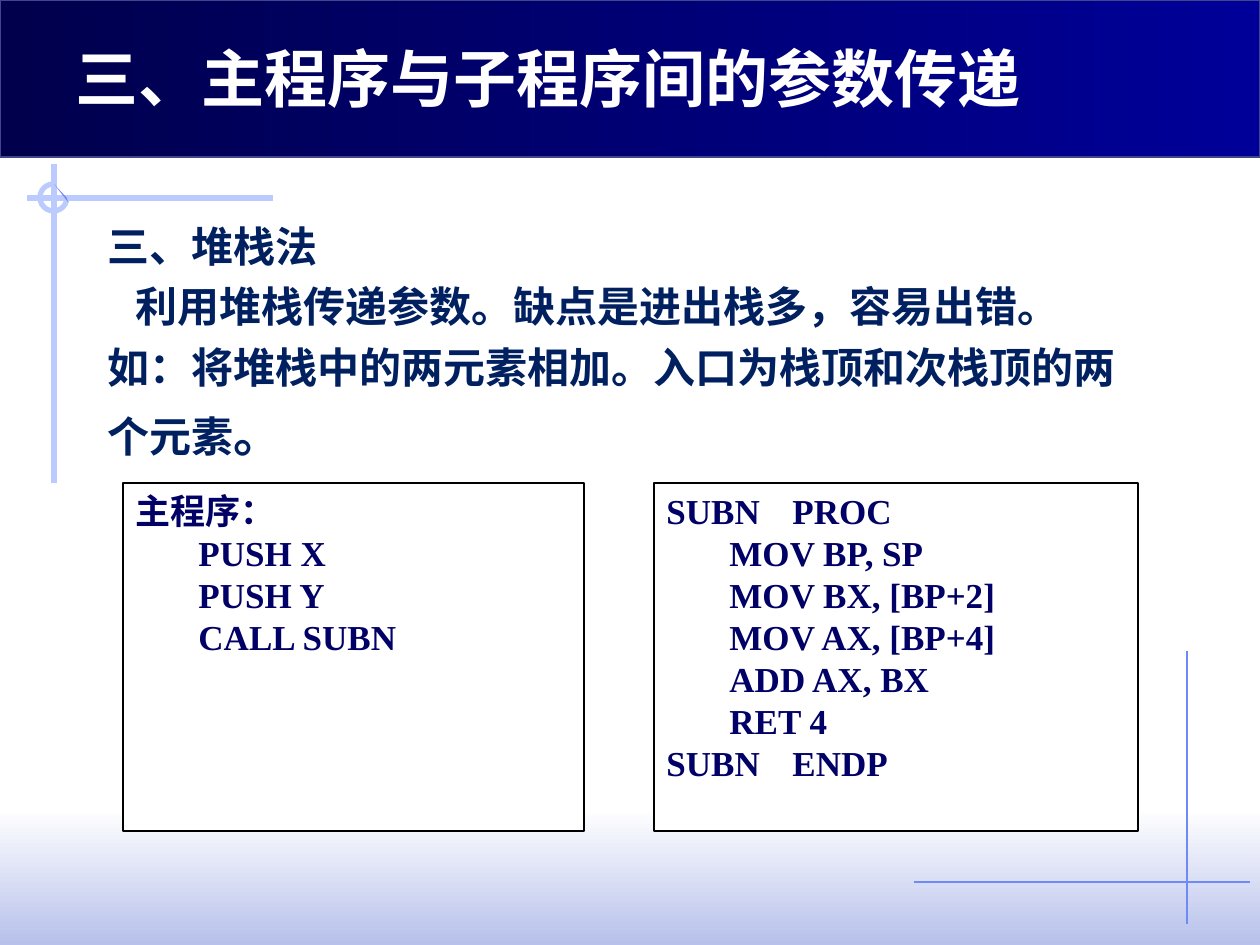
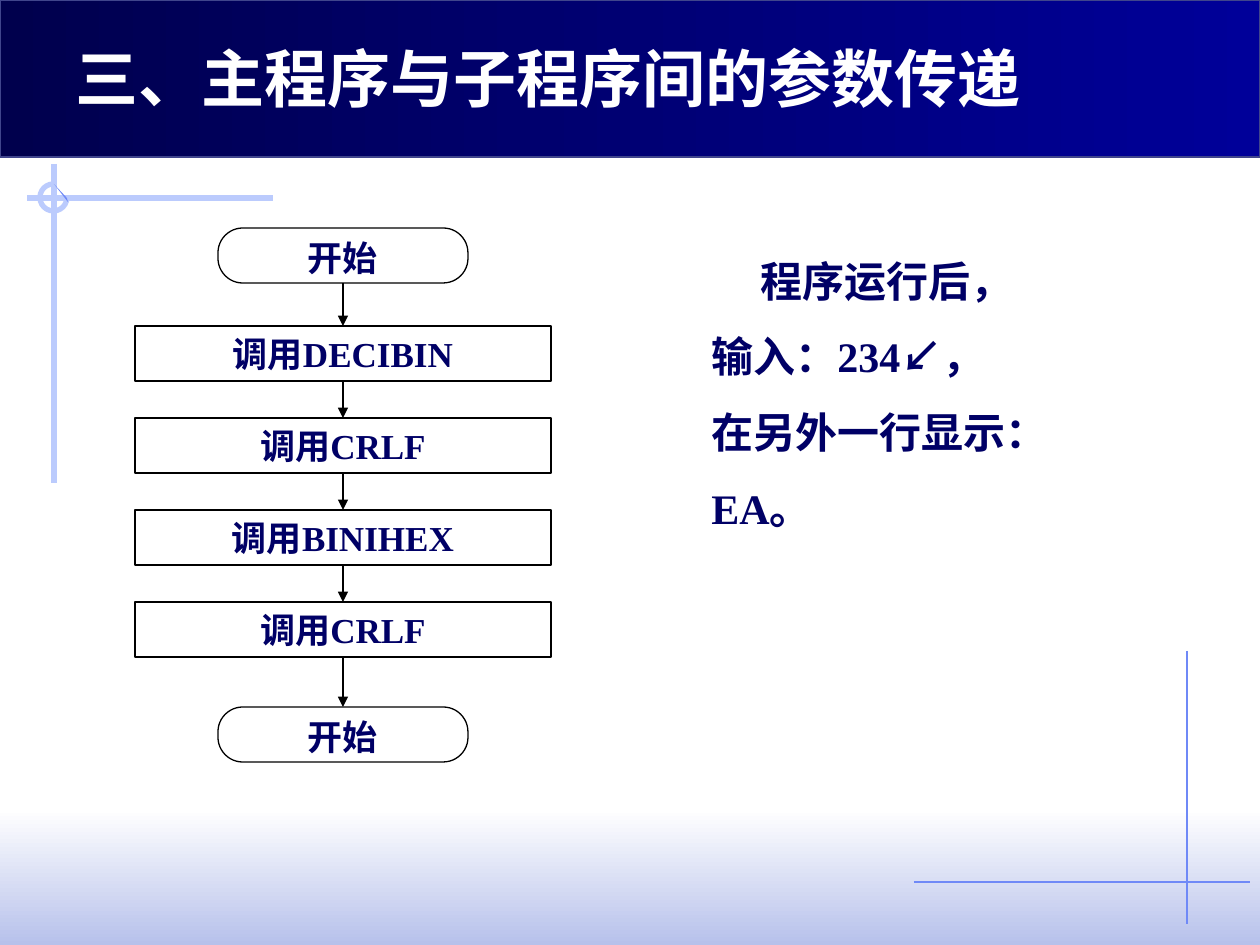
from lxml import etree
from pptx import Presentation
from pptx.dml.color import RGBColor
from pptx.enum.shapes import MSO_CONNECTOR, MSO_SHAPE
from pptx.enum.text import MSO_ANCHOR, PP_ALIGN
from pptx.oxml.ns import qn
from pptx.util import Emu, Pt

RECTANGLE, ROUNDED, ARC = MSO_SHAPE.RECTANGLE, MSO_SHAPE.ROUNDED_RECTANGLE, MSO_SHAPE.ARC
STRAIGHT = MSO_CONNECTOR.STRAIGHT
LEFT, CENTER, TOP = PP_ALIGN.LEFT, PP_ALIGN.CENTER, MSO_ANCHOR.TOP

PX = 914400 / 126
WHITE, BLACK, NAVY, INK = "FFFFFF", "000000", "000066", "002060"
PALE_BLUE, MID_BLUE, BANNER_EDGE = "BBCBFD", "6F89F7", "40458C"
BANNER_GRADIENT = ("00004D", "000099", 0)
FOOTER_GRADIENT = (WHITE, "B7C1EB", 270)
SANS, TITLE_SANS, SERIF = "Noto Sans CJK SC", "Noto Sans CJK JP", "Times New Roman"

TITLE = "三、主程序与子程序间的参数传递"
TITLE_STYLE = {"font": TITLE_SANS, "size": 36, "color": WHITE}
STACK_STYLE = {"font": SANS, "size": 24, "color": INK}
CODE_STYLE = {"font": SERIF, "size": 20, "color": NAVY}
RESULT_STYLE = {"font": SANS, "size": 24, "color": NAVY}

# (x1, y1, x2, y2, colour, width in points)
GUIDE_LINES = [
    (1187, 651, 1187, 924, MID_BLUE, 0.75),
    (914, 882, 1250, 882, MID_BLUE, 0.75),
    (273, 198, 27, 198, PALE_BLUE, 3),
    (54, 164, 54, 483, PALE_BLUE, 3),
]
RING = (40, 184, 27, 27)
RING_WEDGE = [(54, 184), (67, 198), (68, 202)]

# (first-line indent, runs); a run is (text, changes to the style)
STACK_NOTES = [
    (0, [("三、堆栈法", {})]),
    (28, [("利用堆栈传递参数。缺点是进出栈多，容易出错。", {})]),
    (0, [("如：将堆栈中的两元素相加。入口为栈顶和次栈顶的两个元素", {}),
         ("。", {"size": 28})]),
]
CODE_BOXES = [
    ((123, 483, 461, 348),
     ["主程序：", "\tPUSH X", "\tPUSH Y", "\tCALL SUBN"]),
    ((654, 483, 484, 348),
     ["SUBN\tPROC", "\tMOV BP, SP", "\tMOV BX, [BP+2]", "\tMOV AX, [BP+4]",
      "\tADD AX, BX", "\tRET 4", "SUBN\tENDP"]),
]

# (shape, label, gap to the next step)
FLOW_STEPS = [
    (ROUNDED, "开始", 43),
    (RECTANGLE, "调用DECIBIN", 37),
    (RECTANGLE, "调用CRLF", 37),
    (RECTANGLE, "调用BINIHEX", 37),
    (RECTANGLE, "调用CRLF", 50),
    (ROUNDED, "开始", 0),
]
FLOW_CENTER, FLOW_TOP, STEP_HEIGHT = 343, 228, 55
STEP_WIDTHS = {RECTANGLE: 416, ROUNDED: 250}
RESULT_NOTES = [
    (49, [("程序运行后，输入：", {}), ("234", {"font": SERIF}),
          ("↙，在另外一行显示：", {}), ("EA", {"font": SERIF}), ("。", {})]),
]


def px(*lengths):
    return [Emu(round(length * PX)) for length in lengths]


def rgb(color):
    return RGBColor.from_string(color)


def plain(text):
    return 0, [(text, {})]


def write(frame, paragraphs, style, align=LEFT, spacing=1.0):
    """Fill a text frame with (indent, runs) paragraphs."""
    frame.vertical_anchor = TOP
    for index, (indent, runs) in enumerate(paragraphs):
        paragraph = frame.add_paragraph() if index else frame.paragraphs[0]
        paragraph.alignment, paragraph.line_spacing = align, spacing
        if indent:
            properties = paragraph._p.get_or_add_pPr()
            properties.set("marL", "0")
            properties.set("indent", str(px(indent)[0]))
        for text, changes in runs:
            look = {**style, **changes}
            run = paragraph.add_run()
            run.text = text
            values = {"name": look["font"], "size": Pt(look["size"]), "bold": True}
            for name, value in values.items():
                setattr(run.font, name, value)
            run.font.color.rgb = rgb(look["color"])
            east_asian = SANS if look["font"] == SERIF else look["font"]
            etree.SubElement(run._r.get_or_add_rPr(), qn("a:ea"), typeface=east_asian)


def add_text(slide, box, paragraphs, style, wrap=True, spacing=1.0):
    frame = slide.shapes.add_textbox(*px(*box)).text_frame
    frame.word_wrap = wrap
    write(frame, paragraphs, style, spacing=spacing)


def paint(shape, fill=None, line=None, width=0.75):
    """Fill with a hex colour or a (start, end, angle) gradient, and outline."""
    shape.shadow.inherit = False
    if isinstance(fill, tuple):
        *colors, angle = fill
        shape.fill.gradient()
        shape.fill.gradient_angle = angle
        for stop, color in zip(shape.fill.gradient_stops, colors):
            stop.color.rgb = rgb(color)
    elif fill:
        shape.fill.solid()
        shape.fill.fore_color.rgb = rgb(fill)
    else:
        shape.fill.background()
    if line:
        shape.line.color.rgb = rgb(line)
        shape.line.width = Pt(width)
    else:
        shape.line.fill.background()


def add_shape(slide, kind, box, **look):
    shape = slide.shapes.add_shape(kind, *px(*box))
    paint(shape, **look)
    return shape


def add_line(slide, x1, y1, x2, y2, color, width, arrow=False):
    connector = slide.shapes.add_connector(STRAIGHT, *px(x1, y1, x2, y2))
    connector.line.color.rgb = rgb(color)
    connector.line.width = Pt(width)
    if arrow:
        etree.SubElement(connector.line._get_or_add_ln(), qn("a:tailEnd"), type="triangle")
    etree.SubElement(connector._element.spPr, qn("a:effectLst"))


def add_themed_slide(presentation):
    """Add a blank slide with the footer band, guide lines, banner and title."""
    slide = presentation.slides.add_slide(presentation.slide_layouts[6])
    add_shape(slide, RECTANGLE, (0, 809, 1260, 136), fill=FOOTER_GRADIENT)
    for guide in GUIDE_LINES:
        add_line(slide, *guide)
    ring = add_shape(slide, ARC, RING, line=PALE_BLUE, width=3)
    ring.adjustments[0], ring.adjustments[1] = 0, 162  # from 0 to 270 degrees
    builder = slide.shapes.build_freeform(*RING_WEDGE[0], scale=PX)
    builder.add_line_segments(RING_WEDGE[1:])
    paint(builder.convert_to_shape(), fill=MID_BLUE)
    add_shape(slide, RECTANGLE, (0, 0, 1260, 157), fill=BANNER_GRADIENT, line=BANNER_EDGE)
    add_text(slide, (63, 33, 971, 89), [plain(TITLE)], TITLE_STYLE, wrap=False)
    return slide


def build_stack_slide(presentation):
    slide = add_themed_slide(presentation)
    add_text(slide, (95, 204, 1065, 265), STACK_NOTES, STACK_STYLE, spacing=1.2)
    for box, code in CODE_BOXES:
        shape = add_shape(slide, RECTANGLE, box, fill=WHITE, line=BLACK)
        write(shape.text_frame, [plain(row) for row in code], CODE_STYLE)


def build_flow_slide(presentation):
    slide = add_themed_slide(presentation)
    top = FLOW_TOP
    for kind, label, gap in FLOW_STEPS:
        width = STEP_WIDTHS[kind]
        box = (FLOW_CENTER - width / 2, top, width, STEP_HEIGHT)
        step = add_shape(slide, kind, box, fill=WHITE, line=BLACK)
        if kind == ROUNDED:
            step.adjustments[0] = 0.45
            step.text_frame.margin_top = px(1)[0]
        write(step.text_frame, [plain(label)], CODE_STYLE, align=CENTER)
        bottom = top + STEP_HEIGHT
        top = bottom + gap
        if gap:
            add_line(slide, FLOW_CENTER, bottom, FLOW_CENTER, top, BLACK, 0.75, arrow=True)
    add_text(slide, (699, 224, 334, 315), RESULT_NOTES, RESULT_STYLE, spacing=1.5)


def main():
    presentation = Presentation()
    presentation.slide_width, presentation.slide_height = px(1260, 945)
    build_stack_slide(presentation)
    build_flow_slide(presentation)
    presentation.save("out.pptx")


if __name__ == "__main__":
    main()
